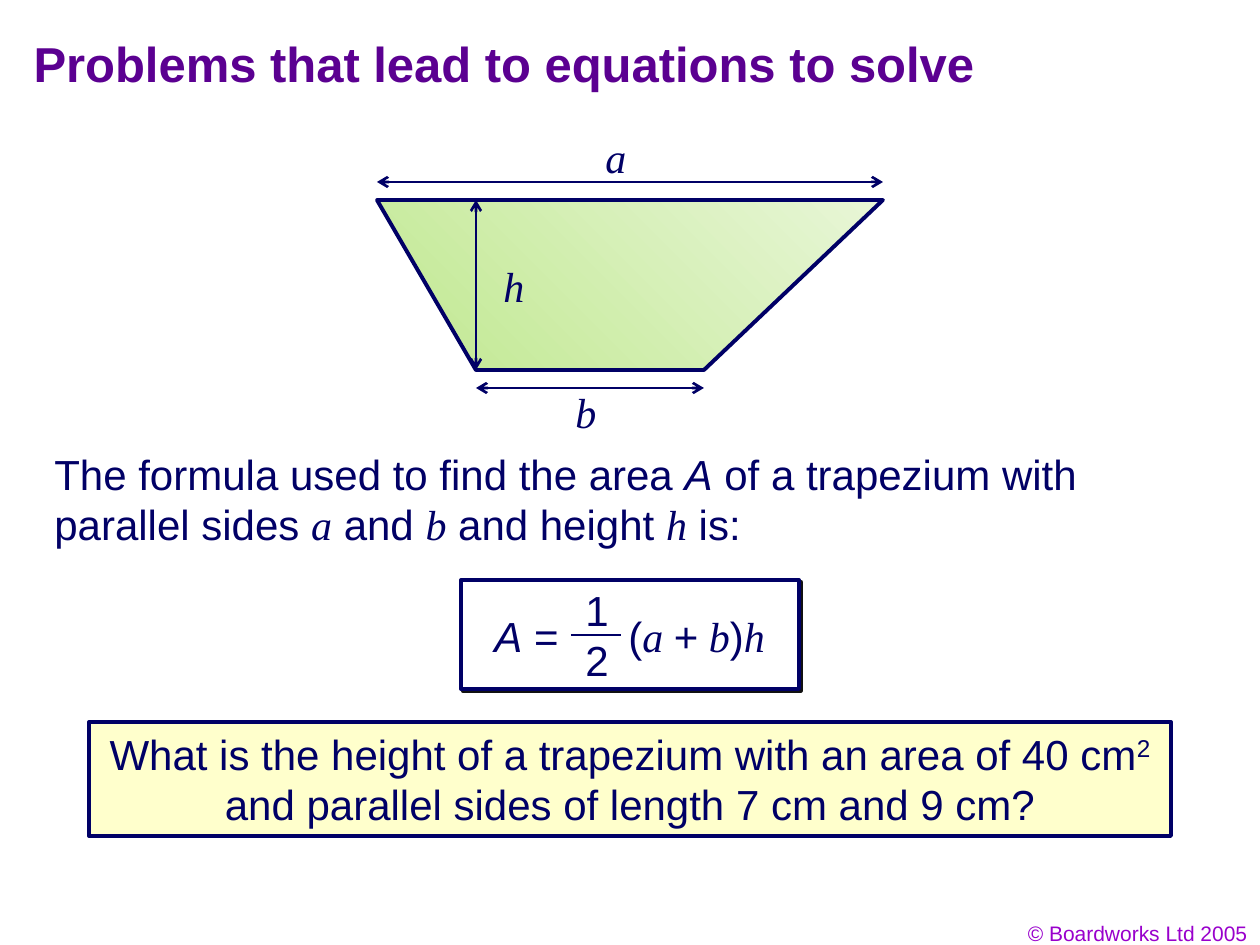
from dataclasses import dataclass

from lxml.etree import SubElement
from pptx import Presentation
from pptx.dml.color import RGBColor
from pptx.enum.shapes import MSO_CONNECTOR, MSO_SHAPE
from pptx.enum.text import MSO_ANCHOR, MSO_AUTO_SIZE, PP_ALIGN
from pptx.oxml.ns import qn
from pptx.util import Emu, Pt

EMU_PER_PX = 914400 / 126


@dataclass(frozen=True)
class Theme:
    sans: str = "Arial"
    serif: str = "Times New Roman"
    title: str = "5B0091"
    ink: str = "010066"
    outline: str = "000066"
    credit: str = "9900CC"
    white: str = "FFFFFF"
    note: str = "FFFFCC"
    shadow: str = "111111"
    gradient: tuple = ("E8F6D7", "C0E890")
    title_size: int = 28
    body_size: int = 24
    credit_size: int = 12
    thick: float = 2.25
    thin: float = 1.5


def px(n):
    return Emu(round(n * EMU_PER_PX))


def rgb(value):
    return RGBColor.from_string(value)


def assign(obj, values):
    for name, value in values.items():
        setattr(obj, name, value)


def var(text):
    """A variable, set in serif italic."""
    return text, {"italic": True, "serif": True}


def ital(text):
    return text, {"italic": True}


def sup(text):
    return text, {"raised": True}


class SlideBuilder:
    def __init__(self, prs, theme):
        self.theme = theme
        self.slide = prs.slides.add_slide(prs.slide_layouts[5])
        self.shapes = self.slide.shapes

    def fill_text(self, sp, parts, size=None, color=None, bold=False,
                  align=PP_ALIGN.LEFT, anchor=MSO_ANCHOR.TOP, wrap=True,
                  tab=None):
        """Fill a shape with one paragraph of plain strings and styled parts."""
        t = self.theme
        tf = sp.text_frame
        assign(tf, {"word_wrap": wrap, "auto_size": MSO_AUTO_SIZE.NONE,
                    "vertical_anchor": anchor})
        p = tf.paragraphs[0]
        p.alignment = align
        if tab:
            tabs = SubElement(p._p.get_or_add_pPr(), qn("a:tabLst"))
            SubElement(tabs, qn("a:tab"), pos=str(px(tab)), algn="l")
        for part in parts:
            text, style = (part, {}) if isinstance(part, str) else part
            r = p.add_run()
            r.text = text
            assign(r.font, {
                "name": t.serif if style.get("serif") else t.sans,
                "size": Pt(size or t.body_size),
                "bold": bold,
                "italic": style.get("italic", False),
            })
            r.font.color.rgb = rgb(color or t.ink)
            if style.get("raised"):
                r._r.get_or_add_rPr().set("baseline", "30000")

    def title(self, box, text):
        sp = self.shapes.title
        assign(sp, dict(zip(("left", "top", "width", "height"), map(px, box))))
        self.fill_text(sp, [text], self.theme.title_size, self.theme.title,
                       bold=True, anchor=MSO_ANCHOR.MIDDLE)

    def text(self, box, *parts, **style):
        self.fill_text(self.shapes.add_textbox(*map(px, box)), parts, **style)

    def label(self, left, top, part):
        self.text((left, top, 46, 63), part, wrap=False)

    def outline(self, sp):
        sp.shadow.inherit = False
        sp.line.color.rgb = rgb(self.theme.outline)
        sp.line.width = Pt(self.theme.thick)

    def panel(self, box, fill, parts=(), shadow=False):
        sp = self.shapes.add_shape(MSO_SHAPE.RECTANGLE, *map(px, box))
        self.outline(sp)
        sp.fill.solid()
        sp.fill.fore_color.rgb = rgb(fill)
        if shadow:
            effects = sp._element.spPr.find(qn("a:effectLst"))
            outer = SubElement(effects, qn("a:outerShdw"), dist=str(Pt(1.4)),
                               dir="2700000", algn="ctr", rotWithShape="0")
            SubElement(outer, qn("a:srgbClr"), val=self.theme.shadow)
        if parts:
            self.fill_text(sp, parts, color=self.theme.outline,
                           align=PP_ALIGN.CENTER, anchor=MSO_ANCHOR.MIDDLE)

    def polygon(self, points):
        start, *rest = points
        builder = self.shapes.build_freeform(*start, scale=EMU_PER_PX)
        builder.add_line_segments(rest, close=True)
        sp = builder.convert_to_shape()
        self.outline(sp)
        sp.fill.gradient()
        sp.fill.gradient_angle = 225
        for i, (stop, color) in enumerate(
                zip(sp.fill.gradient_stops, self.theme.gradient)):
            stop.position = i
            stop.color.rgb = rgb(color)

    def line(self, x1, y1, x2, y2, arrows=False):
        cx = self.shapes.add_connector(MSO_CONNECTOR.STRAIGHT,
                                       *map(px, (x1, y1, x2, y2)))
        cx.line.color.rgb = rgb(self.theme.outline)
        cx.line.width = Pt(self.theme.thin)
        sp_pr = cx._element.spPr
        if arrows:
            for end in ("a:headEnd", "a:tailEnd"):
                SubElement(sp_pr.find(qn("a:ln")), qn(end), type="arrow")
        SubElement(sp_pr, qn("a:effectLst"))


def main():
    theme = Theme()
    prs = Presentation()
    prs.slide_width, prs.slide_height = px(1260), px(945)
    s = SlideBuilder(prs, theme)

    s.text((969, 914, 291, 31), "© Boardworks Ltd 2005",
           size=theme.credit_size, color=theme.credit, align=PP_ALIGN.RIGHT)
    s.title((21, 21, 1115, 84), "Problems that lead to equations to solve")

    s.panel((89, 722, 1082, 114), theme.note, [
        "What is the height of a trapezium with an area of 40 cm", sup("2"),
        " and parallel sides of length 7 cm and 9 cm?"])
    s.text((42, 442, 1183, 114),
           "The formula used to find the area ", ital("A"),
           " of a trapezium with parallel sides ", var("a"), " and ", var("b"),
           " and height ", var("h"), " is:")

    s.panel((461, 580, 338, 109), theme.white, shadow=True)
    s.text((482, 604, 310, 63), ital("A"), " =\t(", var("a "), "+", var(" b"),
           ")", var("h"), tab=134)
    s.label(573, 578, "1")
    s.line(571, 635, 621, 635)
    s.label(573, 628, "2")

    left, right, top = 377, 883, 200
    base_left, base_right, bottom = 476, 704, 370
    gap = 18
    s.polygon([(base_right, bottom), (base_left, bottom),
               (left, top), (right, top)])
    s.line(base_left, bottom + gap, base_right, bottom + gap, arrows=True)
    s.line(base_left, top, base_left, bottom, arrows=True)
    s.line(left, top - gap, right, top - gap, arrows=True)
    s.label(491, 254, var("h"))
    s.label(593, 125, var("a"))
    s.label(563, 380, var("b"))

    prs.save("out.pptx")


if __name__ == "__main__":
    main()
